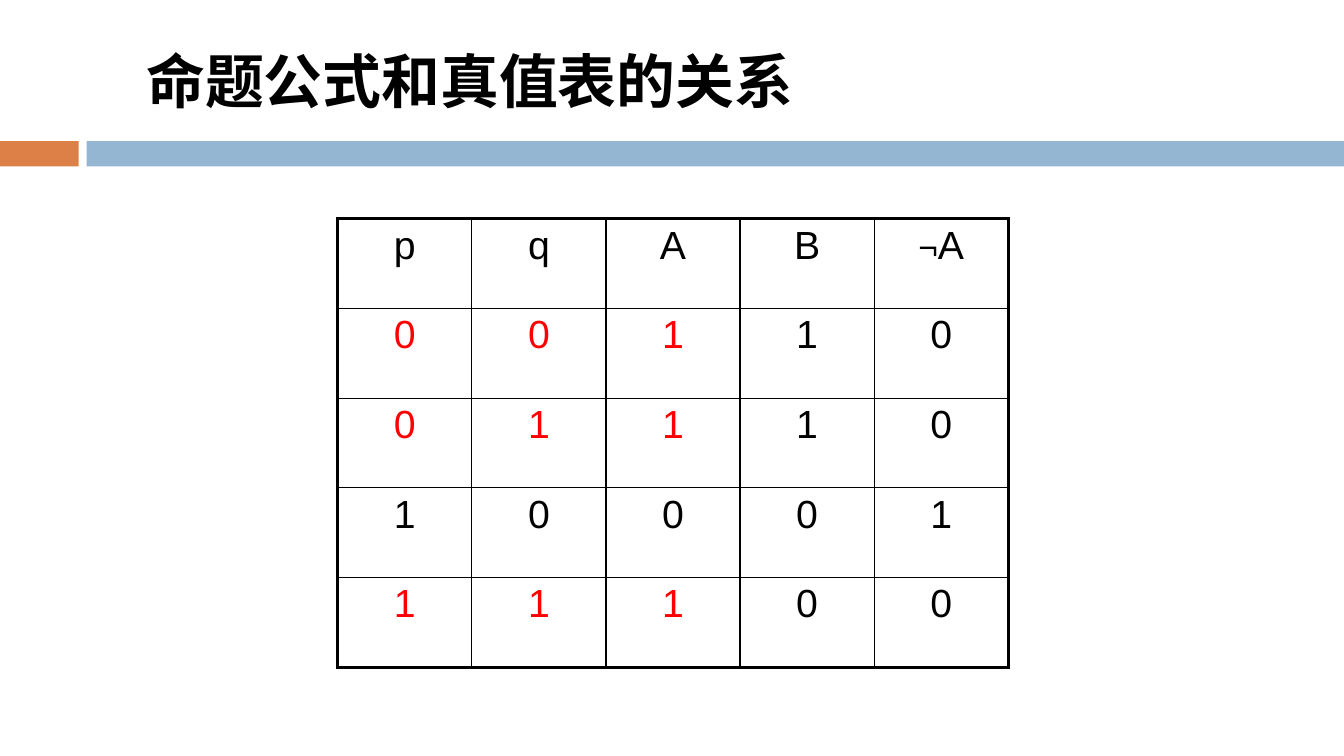
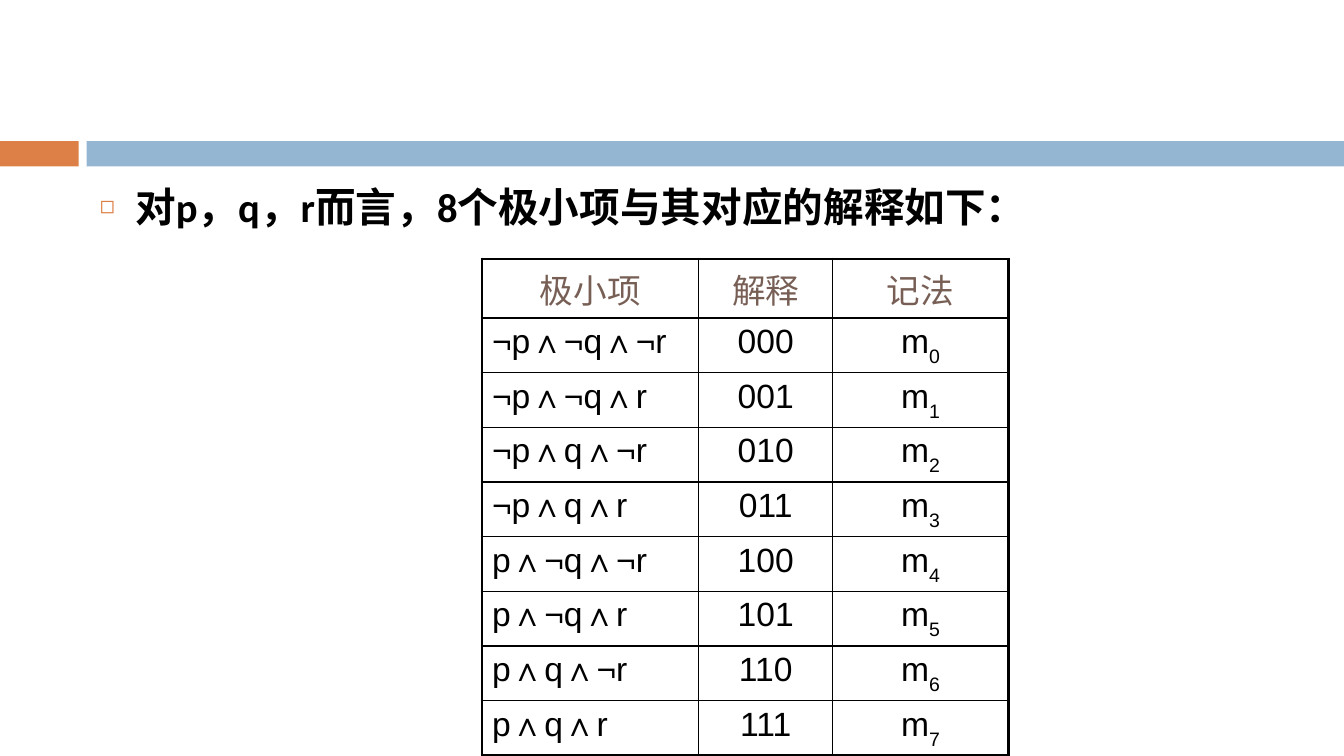
"""Two slides on truth tables and minterms."""
from dataclasses import dataclass

from lxml.etree import SubElement as Sub
from pptx import Presentation
from pptx.dml.color import RGBColor as Rgb
from pptx.enum.shapes import MSO_SHAPE as Shape
from pptx.enum.text import MSO_ANCHOR as Anchor, MSO_AUTO_SIZE as Fit, PP_ALIGN as Align
from pptx.oxml.ns import qn
from pptx.slide import Slide
from pptx.text.text import TextFrame as Frame
from pptx.util import Inches, Pt


@dataclass(frozen=True)
class Theme:
    ink: str = "000000"
    red: str = "FF0000"
    brown: str = "775F55"
    orange: str = "DD8047"
    blue: str = "94B6D2"
    head: str = "Calibri"
    body: str = "Arial"
    han: str = "Noto Sans CJK SC"
    title: int = 42
    lead: int = 29
    large: int = 28
    small: int = 24
    thick: float = 2.25
    thin: float = 1


@dataclass(frozen=True)
class Box:
    left: float
    top: float
    width: float
    height: float

    def place(self) -> tuple:
        return tuple(map(Inches, (self.left, self.top, self.width, self.height)))


@dataclass(frozen=True)
class Run:
    text: str
    size: float | None = None
    base: int = 0


@dataclass(frozen=True)
class Cell:
    runs: tuple[Run, ...]
    size: int
    color: str = "000000"
    font: str = "Arial"
    align: Align = Align.CENTER


@dataclass(frozen=True)
class Band:
    box: Box
    color: str


THEME = Theme()
BANDS = (
    Band(Box(0, 1.4, 0.78, 0.25), THEME.orange),
    Band(Box(0.86, 1.4, 12.47, 0.25), THEME.blue),
)


def write(frame: Frame, *runs: Run, size: float, font: str = THEME.body,
          color: str = THEME.ink, bold: bool = False, align: Align = Align.LEFT) -> None:
    para = frame.paragraphs[0]
    para.alignment = align
    for part in runs:
        run = para.add_run()
        run.text = part.text
        run.font.size = Pt(part.size or size)
        run.font.name = font
        run.font.bold = bold
        run.font.color.rgb = Rgb.from_string(color)
        props = run.font._element
        if part.base:
            props.set("baseline", str(part.base * 1000))
        if font == THEME.han:
            Sub(props, qn("a:ea"), typeface=font)


def bands(slide: Slide) -> None:
    for band in BANDS:
        shape = slide.shapes.add_shape(Shape.RECTANGLE, *band.box.place())
        shape.shadow.inherit = False
        shape.fill.solid()
        shape.fill.fore_color.rgb = Rgb.from_string(band.color)
        shape.line.fill.background()


def bullet(frame: Frame, mark: str, color: str, scale: int) -> None:
    para = frame.paragraphs[0]
    para.space_before = Pt(7)
    props = para._p.get_or_add_pPr()
    props.set("marL", str(Inches(0.35)))
    props.set("indent", str(Inches(-0.35)))
    Sub(Sub(props, qn("a:buClr")), qn("a:srgbClr"), val=color)
    Sub(props, qn("a:buSzPct"), val=str(scale * 1000))
    Sub(props, qn("a:buChar"), char=mark)


def edge(props, side: str, width: float) -> None:
    line = Sub(props, qn(f"a:ln{side}"), w=str(Pt(width)))
    Sub(Sub(line, qn("a:solidFill")), qn("a:srgbClr"), val=THEME.ink)


def grid(slide: Slide, left: float, top: float, cols: list[float],
         rows: list[float], cells: list[list[Cell]]) -> None:
    box = Box(left, top, sum(cols), sum(rows))
    table = slide.shapes.add_table(len(rows), len(cols), *box.place()).table
    table.first_row = table.horz_banding = False
    for col, width in zip(table.columns, cols):
        col.width = Inches(width)
    for row, height in zip(table.rows, rows):
        row.height = Inches(height)
    for y, line in enumerate(cells):
        for x, item in enumerate(line):
            cell = table.cell(y, x)
            write(cell.text_frame, *item.runs, size=item.size, font=item.font,
                  color=item.color, align=item.align)
            props = cell._tc.get_or_add_tcPr()
            outer = {"L": x == 0, "R": x == len(cols) - 1,
                     "T": y == 0, "B": y == len(rows) - 1}
            for side, rim in outer.items():
                edge(props, side, THEME.thick if rim else THEME.thin)
            cell.fill.background()


def truth(deck) -> None:
    slide = deck.slides.add_slide(deck.slide_layouts[5])
    bands(slide)
    title = slide.shapes.title
    title.left, title.top, title.width, title.height = Box(1.35, 0.25, 10.67, 1.08).place()
    title.text_frame.vertical_anchor = Anchor.MIDDLE
    title.text_frame.auto_size = Fit.NONE
    write(title.text_frame, Run("命题公式和真值表的关系"), size=THEME.title,
          font=THEME.head, bold=True)
    heads = [(Run(name),) for name in "pqAB"] + [(Run("¬", THEME.small), Run("A"))]
    cells = [[Cell(runs, THEME.large) for runs in heads]]
    for bits in ("00110", "01110", "10001", "11100"):
        cells.append([
            Cell((Run(bit),), THEME.large, THEME.red if bits[2] == "1" and x < 3 else THEME.ink)
            for x, bit in enumerate(bits)
        ])
    grid(slide, 3.35, 2.17, [1.33] * 5, [0.89] * 5, cells)


def terms(deck) -> None:
    slide = deck.slides.add_slide(deck.slide_layouts[1])
    title = slide.shapes.title._element
    title.getparent().remove(title)
    bands(slide)
    body = slide.placeholders[1]
    body.left, body.top, body.width, body.height = Box(0.89, 1.75, 11.89, 4.92).place()
    body.text_frame.auto_size = Fit.NONE
    write(body.text_frame, Run("对p，q，r而言，8个极小项与其对应的解释如下："),
          size=THEME.lead, font=THEME.head, bold=True)
    bullet(body.text_frame, "◻", THEME.orange, 60)
    cells = [[Cell((Run(name),), THEME.small, THEME.brown, THEME.han)
              for name in ("极小项", "解释", "记法")]]
    for n in range(8):
        bits = f"{n:03b}"
        term = "∧".join(name if bit == "1" else f"¬{name}" for name, bit in zip("pqr", bits))
        cells.append([
            Cell((Run(term),), THEME.small, align=Align.LEFT),
            Cell((Run(bits),), THEME.small),
            Cell((Run("m"), Run(str(n), base=-30)), THEME.small),
        ])
    grid(slide, 4.78, 2.57, [2.15, 1.33, 1.74], [0.58] + [0.54] * 8, cells)


def main() -> None:
    deck = Presentation()
    deck.slide_width, deck.slide_height = Inches(13.33), Inches(7.5)
    truth(deck)
    terms(deck)
    deck.save("out.pptx")


if __name__ == "__main__":
    main()
